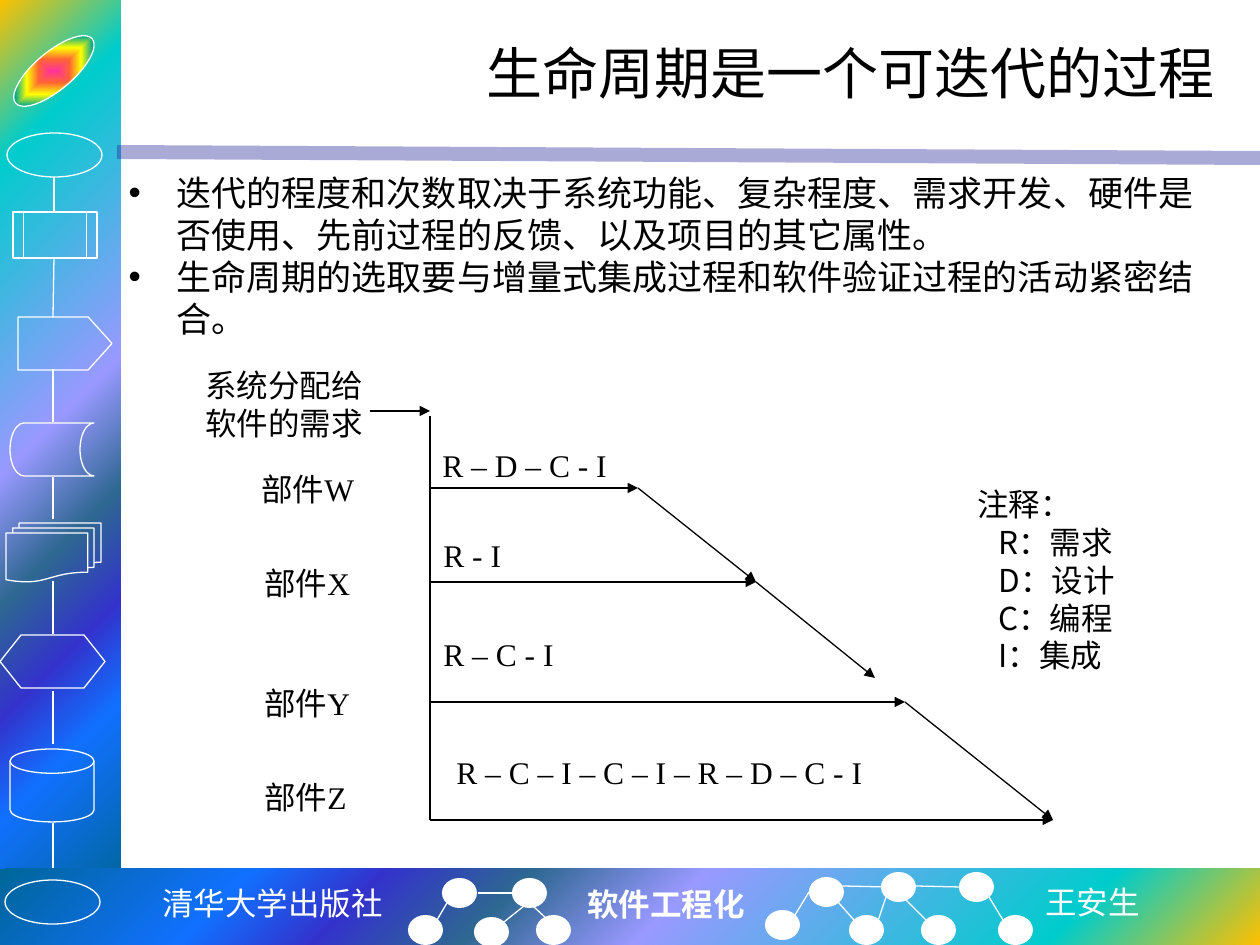
import collections
import dataclasses

import lxml.etree
import pptx
import pptx.dml.color
import pptx.enum.shapes
import pptx.enum.text
import pptx.oxml
import pptx.oxml.ns
import pptx.util

SHAPE = pptx.enum.shapes.MSO_SHAPE
ALIGN = pptx.enum.text.PP_ALIGN
Box = collections.namedtuple("Box", "left top width height")


@dataclasses.dataclass(frozen=True)
class Theme:
    """Colours, fonts and type sizes of the slide."""
    white: str = "FFFFFF"
    ink: str = "000000"
    rule: str = "262699"
    serif: str = "Times New Roman"
    sans: str = "Noto Sans CJK SC"
    mono: str = "DejaVu Sans Mono"
    title: int = 32
    body: int = 20
    label: int = 18
    hairline: float = 0.75
    band: tuple = ((0, "FFC000"), (16, "00CCCC"), (47, "9999FF"), (60, "2E6792"),
                   (71, "3333CC"), (81, "1170FF"), (100, "006699"))
    badge: tuple = ((0, "FF3399"), (25, "FF6633"), (50, "FFFF00"),
                    (75, "01A78F"), (100, "3366FF"))


THEME = Theme()


def px(length):
    """Turn px into EMU."""
    return pptx.util.Emu(round(length * 914400 / 126))


def rgb(colour):
    """Turn a hex string into a colour."""
    return pptx.dml.color.RGBColor.from_string(colour)


def inside(box, left, top, width, height):
    """Return a box given relative to another box."""
    return Box(box.left + left, box.top + top, width, height)


def set_gradient(shape, stops, kind, focus):
    """Fill a shape with a path gradient around the focus rectangle."""
    shape.fill.background()
    marks = "".join(f'<a:gs pos="{place * 1000}"><a:srgbClr val="{colour}"/></a:gs>'
                    for place, colour in stops)
    edges = " ".join(f'{side}="{value * 1000}"' for side, value in zip("ltrb", focus))
    fill = pptx.oxml.parse_xml(
        f'<a:gradFill {pptx.oxml.ns.nsdecls("a")} rotWithShape="1"><a:gsLst>{marks}</a:gsLst>'
        f'<a:path path="{kind}"><a:fillToRect {edges}/></a:path></a:gradFill>')
    properties = shape.element.spPr
    properties.replace(properties.find(pptx.oxml.ns.qn("a:noFill")), fill)


def add_shape(page, kind, box, fill=None, line=None):
    """Add a preset shape without shadow."""
    shape = page.shapes.add_shape(kind, *map(px, box))
    shape.shadow.inherit = False
    if fill:
        shape.fill.solid()
        shape.fill.fore_color.rgb = rgb(fill)
    else:
        shape.fill.background()
    if line:
        shape.line.color.rgb = rgb(line)
        shape.line.width = pptx.util.Pt(THEME.hairline)
    else:
        shape.line.fill.background()
    return shape


def add_line(page, box, ends, colour, width=THEME.hairline, arrow=False):
    """Add a straight line between two points of a box."""
    x1, y1, x2, y2 = ends
    line = page.shapes.add_connector(
        pptx.enum.shapes.MSO_CONNECTOR.STRAIGHT, px(box.left + x1), px(box.top + y1),
        px(box.left + x2), px(box.top + y2))
    line.line.color.rgb = rgb(colour)
    line.line.width = pptx.util.Pt(width)
    qn = pptx.oxml.ns.qn
    if arrow:
        lxml.etree.SubElement(line.line._get_or_add_ln(), qn("a:tailEnd"), type="triangle")
    lxml.etree.SubElement(line.element.spPr, qn("a:effectLst"))
    return line


def style(para, font, size, colour, bold=False):
    """Format the runs of a paragraph."""
    for span in para.runs:
        span.font.name = font
        span.font.size = pptx.util.Pt(size)
        span.font.bold = bold
        span.font.color.rgb = rgb(colour)


def add_text(page, box, text, font=THEME.serif, colour=THEME.ink, bold=False, wrap=True):
    """Add a label and return its paragraphs."""
    frame = page.shapes.add_textbox(*map(px, box)).text_frame
    frame.word_wrap = wrap
    frame.text = text
    for para in frame.paragraphs:
        style(para, font, THEME.label, colour, bold)
    return frame.paragraphs


def fill_placeholder(holder, box, text, size, align, anchor):
    """Move a placeholder, set its text and return its paragraphs."""
    holder.left, holder.top, holder.width, holder.height = map(px, box)
    frame = holder.text_frame
    frame.text = text
    frame.word_wrap = True
    frame.auto_size = pptx.enum.text.MSO_AUTO_SIZE.NONE
    frame.vertical_anchor = anchor
    for para in frame.paragraphs:
        para.alignment = align
        para.space_before = pptx.util.Pt(0)
        style(para, THEME.serif, size, THEME.ink)
    return frame.paragraphs


def add_bullets(page, box, text):
    """Place the bulleted list."""
    anchor = pptx.enum.text.MSO_ANCHOR.TOP
    for para in fill_placeholder(page.placeholders[1], box, text, THEME.body, ALIGN.LEFT, anchor):
        properties = para._p.get_or_add_pPr()
        properties.set("marL", str(px(48)))
        properties.set("indent", str(px(-48)))
        lxml.etree.SubElement(properties, pptx.oxml.ns.qn("a:buChar"), char="•")


def add_sidebar(page, box):
    """Place the gradient strip with its chain of flowchart symbols."""
    set_gradient(add_shape(page, SHAPE.RECTANGLE, box), THEME.band, "circle", (0, 0, 100, 100))
    badge = add_shape(page, SHAPE.OVAL, inside(box, 4, 52, 100, 38), line=THEME.white)
    set_gradient(badge, THEME.badge, "shape", (50, 50, 50, 50))
    badge.rotation = -40
    symbols = (
        (SHAPE.OVAL, 7, 133, 95, 44),
        (SHAPE.FLOWCHART_PREDEFINED_PROCESS, 13, 212, 84, 46),
        (SHAPE.PENTAGON, 18, 317, 94, 53),
        (SHAPE.FLOWCHART_STORED_DATA, 10, 423, 84, 53),
        (SHAPE.FLOWCHART_MULTIDOCUMENT, 6, 523, 95, 59),
        (SHAPE.FLOWCHART_PREPARATION, 0, 635, 105, 53),
        (SHAPE.FLOWCHART_MAGNETIC_DISK, 10, 749, 84, 73),
    )
    for kind, *place in symbols:
        if kind == SHAPE.FLOWCHART_STORED_DATA:
            kind = SHAPE.FLOWCHART_STORED_DATA
        symbol = add_shape(page, kind, inside(box, *place), line=THEME.white)
        if kind == SHAPE.PENTAGON:
            symbol.adjustments[0] = 0.45
    links = ((54, 177, 54, 212), (54, 258, 53, 317), (53, 369, 53, 422), (53, 477, 53, 519),
             (53, 581, 53, 634), (53, 691, 53, 744), (53, 823, 53, 880))
    for ends in links:
        add_line(page, box, ends, THEME.white)


def add_footer(page, box):
    """Place the gradient bar with its captions and node networks."""
    set_gradient(add_shape(page, SHAPE.RECTANGLE, box), THEME.band, "circle", (100, 100, 0, 0))
    add_shape(page, SHAPE.OVAL, inside(box, 5, 11, 95, 44), line=THEME.white)
    nodes = ((442, 9), (512, 9), (408, 46), (474, 48), (536, 46), (809, 8), (881, 3),
             (959, 3), (765, 41), (849, 46), (921, 46), (998, 46))
    for left, top in nodes:
        add_shape(page, SHAPE.OVAL, inside(box, left, top, 35, 30), THEME.white)
    links = ((437, 51, 447, 34), (504, 53, 524, 37), (512, 24, 478, 24), (547, 50, 534, 38),
             (854, 51, 838, 33), (926, 51, 901, 26), (1003, 51, 989, 28), (878, 52, 886, 28),
             (915, 17, 959, 18), (795, 46, 809, 23), (842, 17, 886, 18))
    for ends in links:
        add_line(page, box, ends, THEME.white)
    captions = (("清华大学出版社", 150, 9, 248, THEME.mono, False),
                ("软件工程化", 575, 10, 184, THEME.serif, True),
                ("王安生", 1033, 8, 121, THEME.sans, False))
    for text, left, top, width, font, bold in captions:
        add_text(page, inside(box, left, top, width, 50), text, font, THEME.white, bold, False)


def add_diagram(page, box):
    """Place the component timelines branching from one axis."""
    axis = 237
    add_text(page, inside(box, 0, 0, 192, 95), "系统分配给\n软件的需求")
    add_line(page, box, (177, 51, axis, 51), THEME.ink, arrow=True)
    add_line(page, box, (axis, 460, axis, 56), THEME.ink)
    rows = (("部件W", 56, 24, "R – D – C - I", 237, 48, 128, 445),
            ("部件X", 59, 24, "R - I", 238, 52, 222, 563),
            ("部件Y", 59, 24, "R – C - I", 238, 73, 342, 712),
            ("部件Z", 59, 48, "R – C – I – C – I – R – D – C - I", 251, 73, 460, 860))
    for name, name_left, name_rise, steps, steps_left, steps_rise, level, end in rows:
        add_text(page, inside(box, name_left, level - name_rise, 151, 48), name)
        add_text(page, inside(box, steps_left, level - steps_rise, 475, 48), steps)
        add_line(page, box, (axis, level, end, level), THEME.ink, arrow=True)
    for ends in ((445, 128, 563, 222), (563, 222, 682, 318), (712, 342, 860, 460)):
        add_line(page, box, ends, THEME.ink, arrow=True)


def add_legend(page, box):
    """Place the key to the step letters."""
    text = "注释：\nR：需求\nD：设计\nC：编程\nI：集成"
    for para in add_text(page, box, text, THEME.sans)[1:]:
        para._p.get_or_add_pPr().set("marL", str(px(21)))


def main():
    """Build the slide and save it."""
    deck = pptx.Presentation()
    deck.slide_width, deck.slide_height = px(1260), px(945)
    page = deck.slides.add_slide(deck.slide_layouts[1])
    add_sidebar(page, Box(0, 0, 121, 893))
    add_footer(page, Box(0, 869, 1260, 76))
    rule = add_line(page, Box(117, 152, 1143, 6), (0, 0, 1143, 6), THEME.rule, 8)
    colour = rule.element.spPr.find(".//" + pptx.oxml.ns.qn("a:srgbClr"))
    lxml.etree.SubElement(colour, pptx.oxml.ns.qn("a:alpha"), val="39000")
    fill_placeholder(page.shapes.title, Box(157, 21, 1071, 102), "生命周期是一个可迭代的过程",
                     THEME.title, ALIGN.RIGHT, pptx.enum.text.MSO_ANCHOR.MIDDLE)
    add_bullets(page, Box(116, 165, 1112, 183),
                "迭代的程度和次数取决于系统功能、复杂程度、需求开发、硬件是否使用、先前过程的反馈、以及项目的其它属性。\n"
                "生命周期的选取要与增量式集成过程和软件验证过程的活动紧密结合。")
    add_diagram(page, Box(193, 360, 860, 460))
    add_legend(page, Box(965, 479, 208, 190))
    deck.save("out.pptx")


if __name__ == "__main__":
    main()
